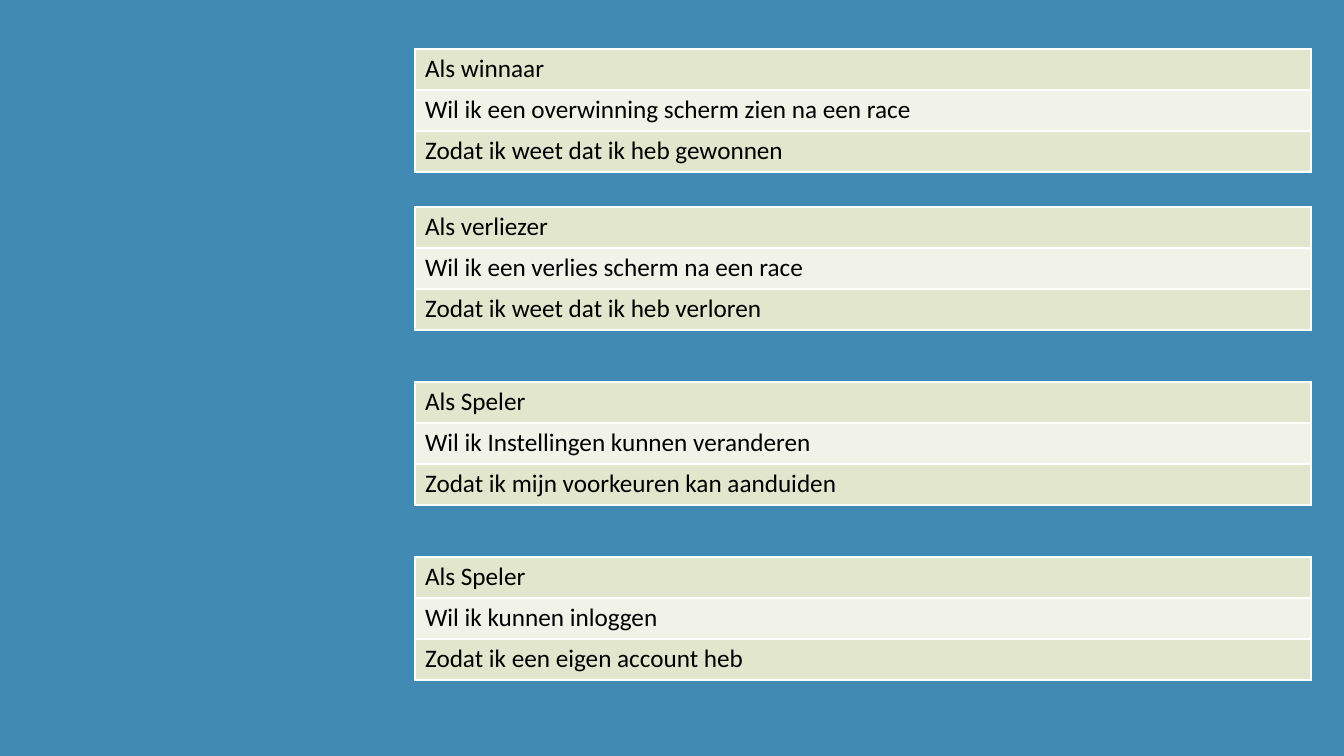
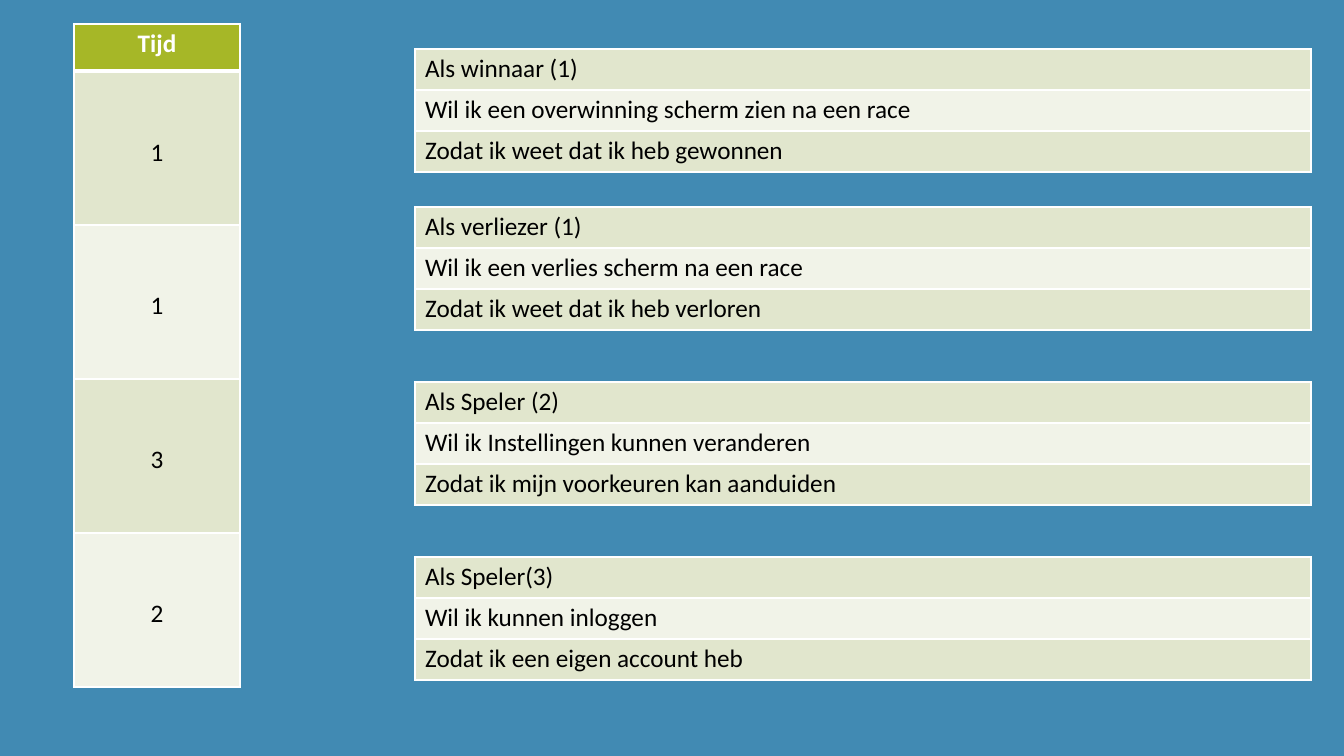
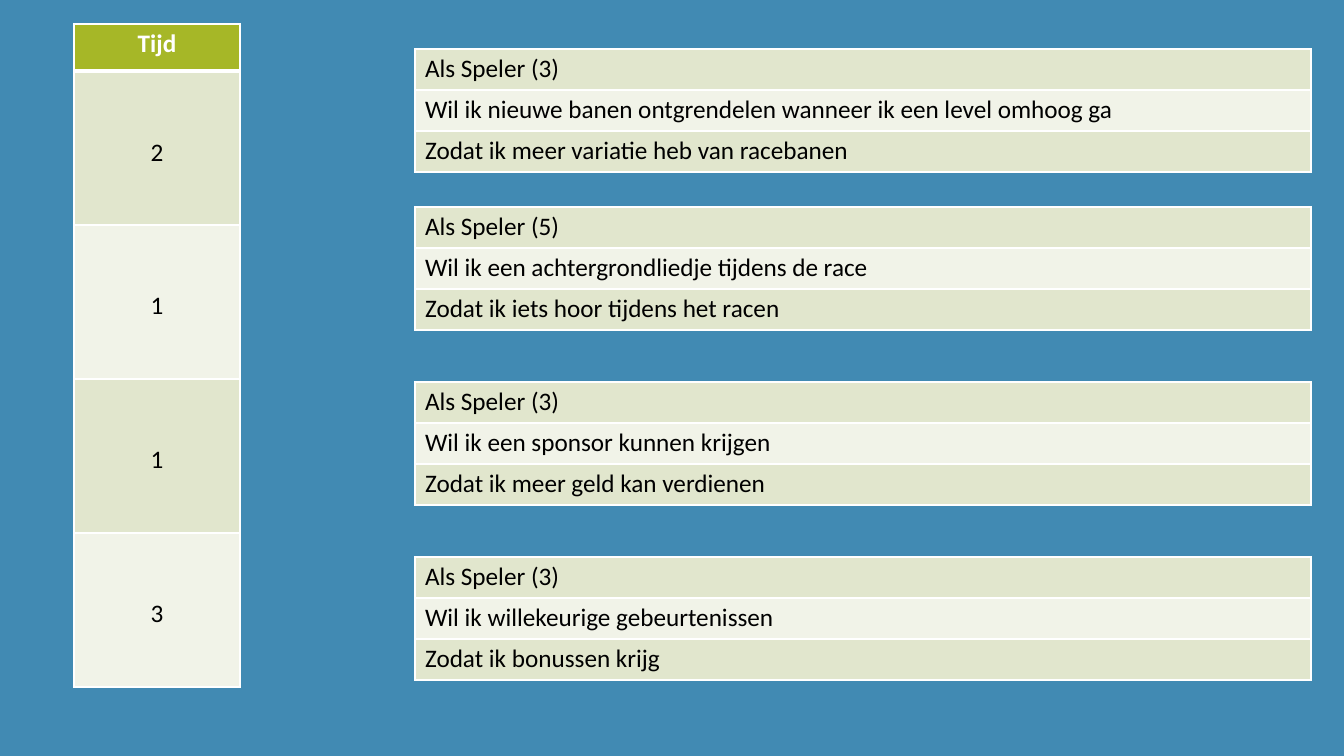
import dataclasses

import lxml.etree
import pptx
import pptx.dml.color
import pptx.enum.text
import pptx.oxml.ns
import pptx.presentation
import pptx.slide
import pptx.table
import pptx.util

SLIDE_WIDTH, SLIDE_HEIGHT = 1344, 756
EMU_PER_PX = 12192000 / SLIDE_WIDTH

BACKGROUND = "418AB3"
HEADER = "A6B727"
BANDS = ("E1E6CD", "F1F3E8")
WHITE = "FFFFFF"
BLACK = "000000"
FONT = "Calibri"
FONT_SIZE = 18
BORDER, HEADER_BORDER = 1, 3

STORY_LEFT, STORY_WIDTH, STORY_ROW = 415, 896, 41
STORY_TOPS = (49, 207, 382, 557)
TIME_LEFT, TIME_TOP, TIME_WIDTH = 74, 24, 166
TIME_HEADER, TIME_ROW = 47, 154
CELL_MARGIN, TIME_MARGIN = 5, 66


@dataclasses.dataclass(frozen=True)
class Story:
    role: str
    wish: str
    goal: str


@dataclasses.dataclass(frozen=True)
class Sprint:
    stories: list[Story]
    times: list[int]


@dataclasses.dataclass(frozen=True)
class CellStyle:
    fill: str
    color: str = BLACK
    bold: bool = False
    centred: bool = False
    margin_top: int = CELL_MARGIN
    top_border: int = BORDER
    bottom_border: int = BORDER


BACKLOG = [
    Story("Als winnaar", "Wil ik een overwinning scherm zien na een race",
          "Zodat ik weet dat ik heb gewonnen"),
    Story("Als verliezer", "Wil ik een verlies scherm na een race",
          "Zodat ik weet dat ik heb verloren"),
    Story("Als Speler", "Wil ik Instellingen kunnen veranderen",
          "Zodat ik mijn voorkeuren kan aanduiden"),
    Story("Als Speler", "Wil ik kunnen inloggen",
          "Zodat ik een eigen account heb"),
]
ESTIMATED_ROLES = ["Als winnaar (1)", "Als verliezer (1)", "Als Speler (2)", "Als Speler(3)"]
ESTIMATED = [dataclasses.replace(story, role=role)
             for story, role in zip(BACKLOG, ESTIMATED_ROLES)]
EXTRAS = [
    Story("Als Speler (3)", "Wil ik nieuwe banen ontgrendelen wanneer ik een level omhoog ga",
          "Zodat ik meer variatie heb van racebanen"),
    Story("Als Speler (5)", "Wil ik een achtergrondliedje tijdens de race",
          "Zodat ik iets hoor tijdens het racen"),
    Story("Als Speler (3)", "Wil ik een sponsor kunnen krijgen",
          "Zodat ik meer geld kan verdienen"),
    Story("Als Speler (3)", "Wil ik willekeurige gebeurtenissen",
          "Zodat ik bonussen krijg"),
]
SPRINTS = [
    Sprint(BACKLOG, []),
    Sprint(ESTIMATED, [1, 1, 3, 2]),
    Sprint(EXTRAS, [2, 1, 1, 3]),
]


def emu(px: int) -> pptx.util.Emu:
    return pptx.util.Emu(round(px * EMU_PER_PX))


def rgb(value: str) -> pptx.dml.color.RGBColor:
    return pptx.dml.color.RGBColor.from_string(value)


def set_borders(cell: pptx.table._Cell, style: CellStyle) -> None:
    """Add white borders; call before the fill, which must follow them in the XML."""
    qn = pptx.oxml.ns.qn
    properties = cell._tc.get_or_add_tcPr()
    widths = {"a:lnL": BORDER, "a:lnR": BORDER,
              "a:lnT": style.top_border, "a:lnB": style.bottom_border}
    for tag, width in widths.items():
        line = lxml.etree.SubElement(properties, qn(tag), w=str(pptx.util.Pt(width)))
        fill = lxml.etree.SubElement(line, qn("a:solidFill"))
        lxml.etree.SubElement(fill, qn("a:srgbClr"), val=WHITE)


def format_cell(cell: pptx.table._Cell, text: str, style: CellStyle) -> None:
    set_borders(cell, style)
    cell.fill.solid()
    cell.fill.fore_color.rgb = rgb(style.fill)
    cell.margin_top = emu(style.margin_top)
    cell.text_frame.text = text
    para = cell.text_frame.paragraphs[0]
    if style.centred:
        para.alignment = pptx.enum.text.PP_ALIGN.CENTER
    font = para.runs[0].font
    font.name, font.size, font.bold = FONT, pptx.util.Pt(FONT_SIZE), style.bold
    font.color.rgb = rgb(style.color)


def add_column(slide: pptx.slide.Slide, left: int, top: int, width: int,
               heights: list[int], texts: list[str], styles: list[CellStyle]) -> None:
    """Draw a table of one column."""
    frame = slide.shapes.add_table(
        len(texts), 1, emu(left), emu(top), emu(width), emu(sum(heights)))
    table = frame.table
    table.first_row = table.horz_banding = False
    for row, height, text, style in zip(table.rows, heights, texts, styles):
        row.height = emu(height)
        format_cell(row.cells[0], text, style)


def add_story(slide: pptx.slide.Slide, story: Story, top: int) -> None:
    texts = [story.role, story.wish, story.goal]
    styles = [CellStyle(BANDS[index % 2]) for index in range(len(texts))]
    add_column(slide, STORY_LEFT, top, STORY_WIDTH, [STORY_ROW] * len(texts), texts, styles)


def add_times(slide: pptx.slide.Slide, times: list[int]) -> None:
    header = CellStyle(HEADER, WHITE, bold=True, centred=True, bottom_border=HEADER_BORDER)
    body = [CellStyle(BANDS[index % 2], centred=True, margin_top=TIME_MARGIN,
                      top_border=BORDER if index else HEADER_BORDER)
            for index in range(len(times))]
    add_column(slide, TIME_LEFT, TIME_TOP, TIME_WIDTH,
               [TIME_HEADER] + [TIME_ROW] * len(times),
               ["Tijd"] + [str(time) for time in times], [header] + body)


def add_sprint(deck: pptx.presentation.Presentation, sprint: Sprint) -> None:
    slide = deck.slides.add_slide(deck.slide_layouts.get_by_name("Blank"))
    for story, top in zip(sprint.stories, STORY_TOPS):
        add_story(slide, story, top)
    if sprint.times:
        add_times(slide, sprint.times)


def main() -> None:
    deck = pptx.Presentation()
    deck.slide_width, deck.slide_height = emu(SLIDE_WIDTH), emu(SLIDE_HEIGHT)
    background = deck.slide_master.background.fill
    background.solid()
    background.fore_color.rgb = rgb(BACKGROUND)
    for sprint in SPRINTS:
        add_sprint(deck, sprint)
    deck.save("out.pptx")


if __name__ == "__main__":
    main()
